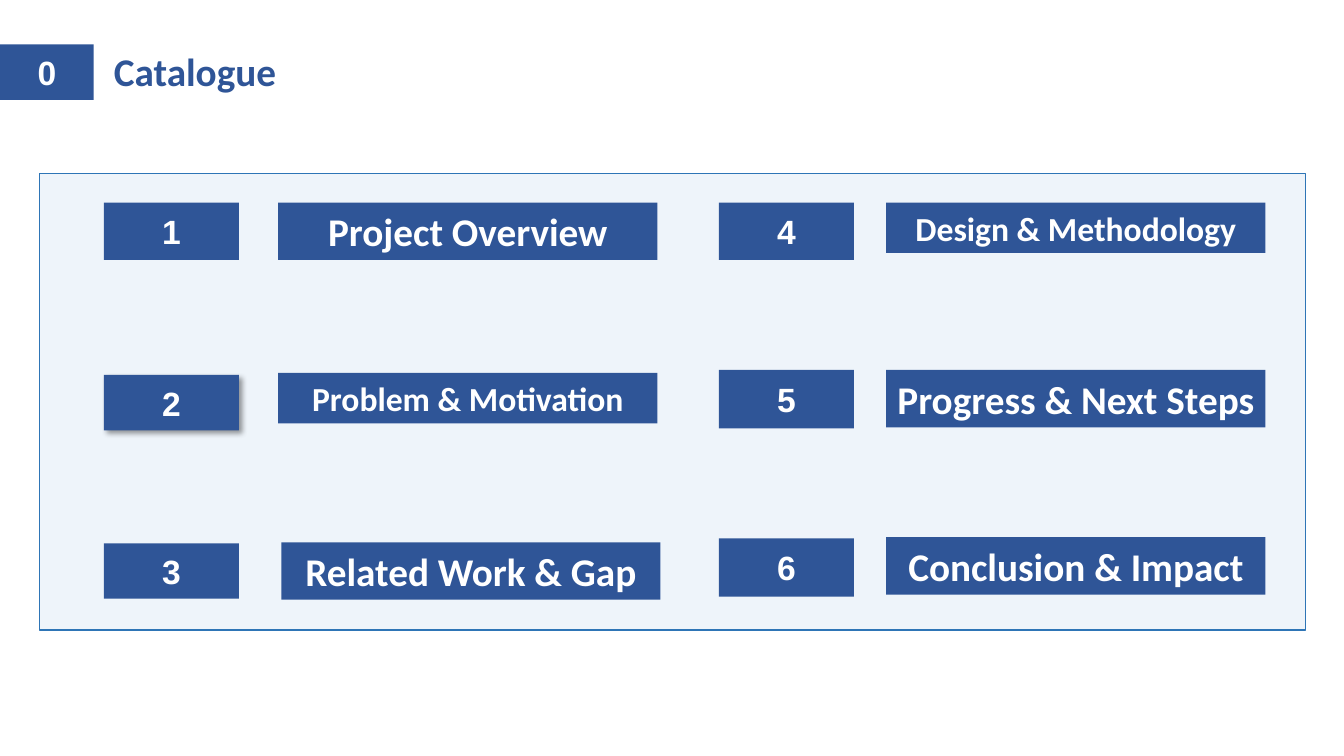
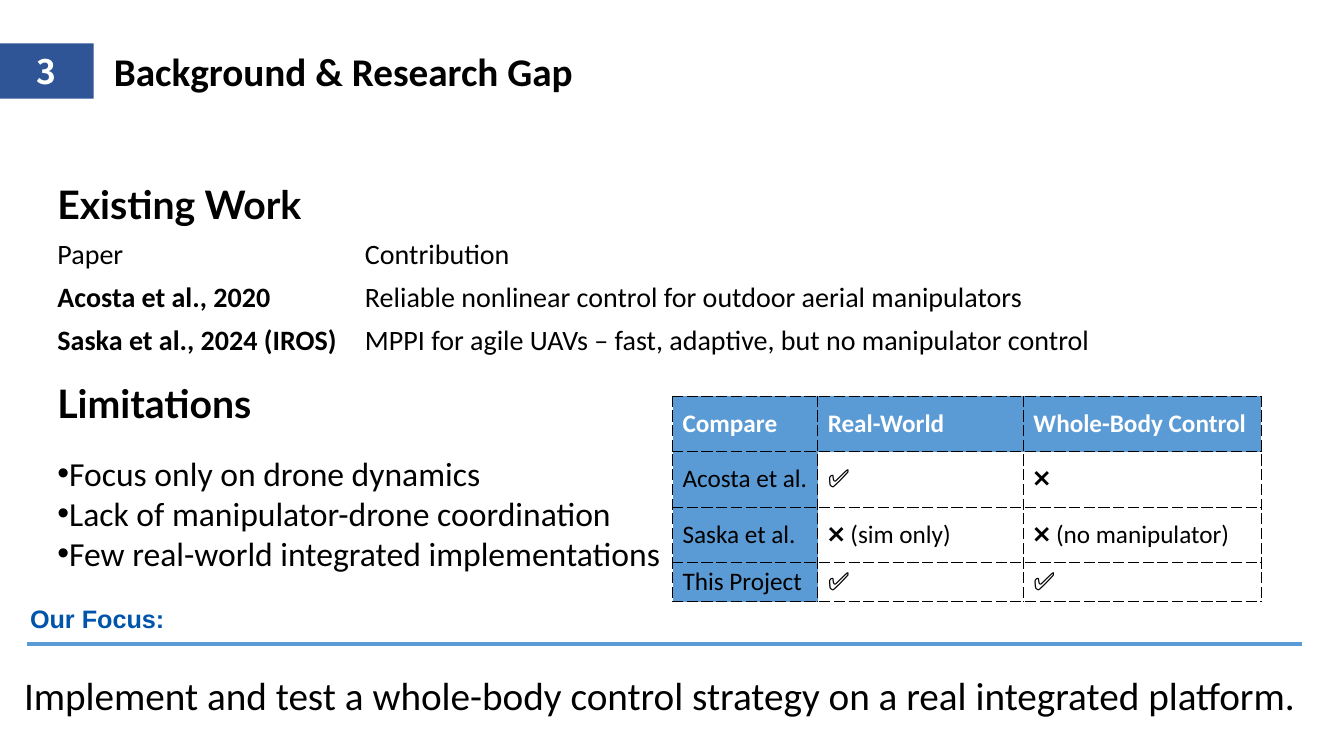
import lxml.etree
import pptx
import pptx.dml.color
import pptx.enum.dml
import pptx.enum.shapes
import pptx.enum.text
import pptx.oxml.ns
import pptx.util

SCALE = 9144
NAVY, SKY, WHITE, BLACK = "2F5597", "5B9BD5", "FFFFFF", "000000"
LEFT = pptx.enum.text.PP_ALIGN.LEFT
MID = pptx.enum.text.PP_ALIGN.CENTER


def px(*nums):
    return [pptx.util.Emu(num * SCALE) for num in nums]


def tint(code):
    return pptx.dml.color.RGBColor.from_string(code)


def node(host, tag, **attrs):
    return lxml.etree.SubElement(host, pptx.oxml.ns.qn(tag), **attrs)


class Deck:
    def __init__(self):
        self.show = pptx.Presentation()
        self.show.slide_width, self.show.slide_height = px(1333, 750)
        self.slide = None

    def start(self, layout, mark, title, face, color, top):
        self.slide = self.show.slides.add_slide(self.show.slide_layouts[layout])
        self.block(0, top, 93, 55, mark, 24, face)
        head = self.slide.shapes.title
        self.place(head, 103, 42, 679, 57)
        self.words(head.text_frame, title, 28, color, bold=True)

    def place(self, shape, *box):
        shape.left, shape.top, shape.width, shape.height = px(*box)

    def piece(self, para, text, size, color, face="Calibri", bold=False):
        run = para.add_run()
        run.text = text
        font = run.font
        font.size, font.name, font.bold = pptx.util.Pt(size), face, bold
        font.color.rgb = tint(color)

    def words(self, frame, text, size, color, face="Calibri", bold=False, align=LEFT):
        frame.word_wrap = True
        frame.auto_size = pptx.enum.text.MSO_AUTO_SIZE.NONE
        frame.vertical_anchor = pptx.enum.text.MSO_ANCHOR.MIDDLE
        para = frame.paragraphs[0]
        para.alignment = align
        self.piece(para, text, size, color, face, bold)

    def rect(self, *box, fill=NAVY):
        kind = pptx.enum.shapes.MSO_SHAPE.RECTANGLE
        shape = self.slide.shapes.add_shape(kind, *px(*box))
        shape.shadow.inherit = False
        shape.fill.solid()
        shape.fill.fore_color.rgb = tint(fill)
        shape.line.fill.background()
        return shape

    def panel(self, *box):
        shape = self.rect(*box, fill="DEEBF7")
        shape.line.color.rgb = tint("2E75B6")
        shape.line.width = pptx.util.Pt(1)
        fill = shape._element.spPr.find(pptx.oxml.ns.qn("a:solidFill"))
        node(fill[0], "a:alpha", val="50000")

    def block(self, left, top, width, height, text, size, face="Calibri"):
        shape = self.rect(left, top, width, height)
        frame = shape.text_frame
        frame.margin_left = frame.margin_right = 0
        frame.margin_top = frame.margin_bottom = 0
        self.words(frame, text, size, WHITE, face, True, MID)
        return shape

    def shade(self, shape):
        host = shape._element.spPr.find(pptx.oxml.ns.qn("a:effectLst"))
        cast = node(host, "a:outerShdw", blurRad="50800", dist="38100",
                    dir="2700000", algn="tl", rotWithShape="0")
        node(node(cast, "a:srgbClr", val=BLACK), "a:alpha", val="40000")

    def label(self, box, text, size, **style):
        shape = self.slide.shapes.add_textbox(*px(*box))
        self.words(shape.text_frame, text, size, **style)

    def list(self, box, items, size):
        body = self.slide.placeholders[1]
        self.place(body, *box)
        frame = body.text_frame
        frame.word_wrap = True
        frame.auto_size = pptx.enum.text.MSO_AUTO_SIZE.NONE
        for spot, text in enumerate(items):
            para = frame.add_paragraph() if spot else frame.paragraphs[0]
            props = para._p.get_or_add_pPr()
            props.set("marL", "0")
            props.set("indent", "0")
            node(props, "a:buChar", char="•")
            para.space_before = pptx.util.Pt(0)
            self.piece(para, text, size, BLACK)

    def rule(self, left, right, top, color, width):
        kind = pptx.enum.shapes.MSO_CONNECTOR.STRAIGHT
        line = self.slide.shapes.add_connector(kind, *px(left, top, right, top))
        line.line.color.rgb = tint(color)
        line.line.width = pptx.util.Pt(width)
        node(line._element.spPr, "a:effectLst")

    def frame(self, cell):
        props = cell._tc.get_or_add_tcPr()
        for spot, side in enumerate(("a:lnL", "a:lnR", "a:lnT", "a:lnB")):
            edge = node(props, side, w="9525")
            node(node(edge, "a:solidFill"), "a:srgbClr", val=BLACK)
            node(edge, "a:prstDash", val="sysDash")
            props.insert(spot, edge)

    def table(self, left, top, cols, rows, data, size, style, lines=False):
        box = px(left, top, sum(cols), sum(rows))
        grid = self.slide.shapes.add_table(len(rows), len(cols), *box).table
        grid.first_row = grid.horz_banding = False
        for col, width in zip(grid.columns, px(*cols)):
            col.width = width
        for row, height in zip(grid.rows, px(*rows)):
            row.height = height
        for y, texts in enumerate(data):
            for x, text in enumerate(texts):
                cell = grid.cell(y, x)
                fill, color, bold = style(y, x)
                cell.margin_top, cell.margin_bottom = px(4, 4)
                cell.vertical_anchor = pptx.enum.text.MSO_ANCHOR.MIDDLE
                if fill:
                    cell.fill.solid()
                    cell.fill.fore_color.rgb = tint(fill)
                else:
                    cell.fill.background()
                if lines:
                    self.frame(cell)
                para = cell.text_frame.paragraphs[0]
                self.piece(para, text, size, color, bold=bold)


def paper(y, x):
    return None, BLACK, y > 0 and x == 0


def match(y, x):
    if y == 0:
        return SKY, WHITE, True
    return (None if x else SKY), BLACK, False


def index(deck):
    deck.start(5, "0", "Catalogue", "Arial", NAVY, 44)
    deck.panel(39, 172, 1256, 453)
    tall = {28: 57, 24: 50}
    parts = [
        (103, 201, 57, 276, 201, "Project Overview", 28),
        (103, 372, 55, 276, 370, "Problem & Motivation", 24),
        (103, 539, 55, 279, 538, "Related Work & Gap", 28),
        (713, 201, 57, 879, 201, "Design & Methodology", 24),
        (713, 367, 58, 879, 367, "Progress & Next Steps", 28),
        (713, 534, 58, 879, 533, "Conclusion & Impact", 28),
    ]
    for num, (left, top, height, x, y, text, size) in enumerate(parts, 1):
        badge = deck.block(left, top, 134, height, str(num), 24, "Arial")
        if num == 2:
            deck.shade(badge)
        deck.block(x, y, 376, tall[size], text, size)


def gap(deck):
    deck.start(1, "3", "Background & Research Gap", "Noto Sans CJK SC", BLACK, 43)
    for top, text in ((174, "Existing Work"), (371, "Limitations")):
        deck.label((47, top, 374, 57), text, 28, color=BLACK, face="Lato", bold=True)
    deck.table(47, 231, [305, 845], [43] * 3, [
        ("Paper", "Contribution"),
        ("Acosta et al., 2020",
         "Reliable nonlinear control for outdoor aerial manipulators"),
        ("Saska et al., 2024 (IROS)",
         "MPPI for agile UAVs – fast, adaptive, but no manipulator control"),
    ], 20, paper)
    deck.list((47, 444, 620, 131), [
        "Focus only on drone dynamics",
        "Lack of manipulator-drone coordination",
        "Few real-world integrated implementations",
    ], 24)
    deck.table(667, 393, [144, 204, 236], [55, 55, 55, 39], [
        ("Compare", "Real-World", "Whole-Body Control"),
        ("Acosta et al.", "✅", "❌"),
        ("Saska et al.", "❌ (sim only)", "❌ (no manipulator)"),
        ("This Project", "✅", "✅"),
    ], 18, match, lines=True)
    deck.label((20, 594, 200, 40), "Our Focus:", 18, color="0055AA",
               face="Arial", bold=True)
    deck.rule(27, 1291, 639, SKY, 3.25)
    deck.label((12, 661, 1284, 57),
               "Implement and test a whole-body control strategy "
               "on a real integrated platform.", 28, color=BLACK, align=MID)


def main():
    deck = Deck()
    index(deck)
    gap(deck)
    deck.show.save("out.pptx")


if __name__ == "__main__":
    main()
